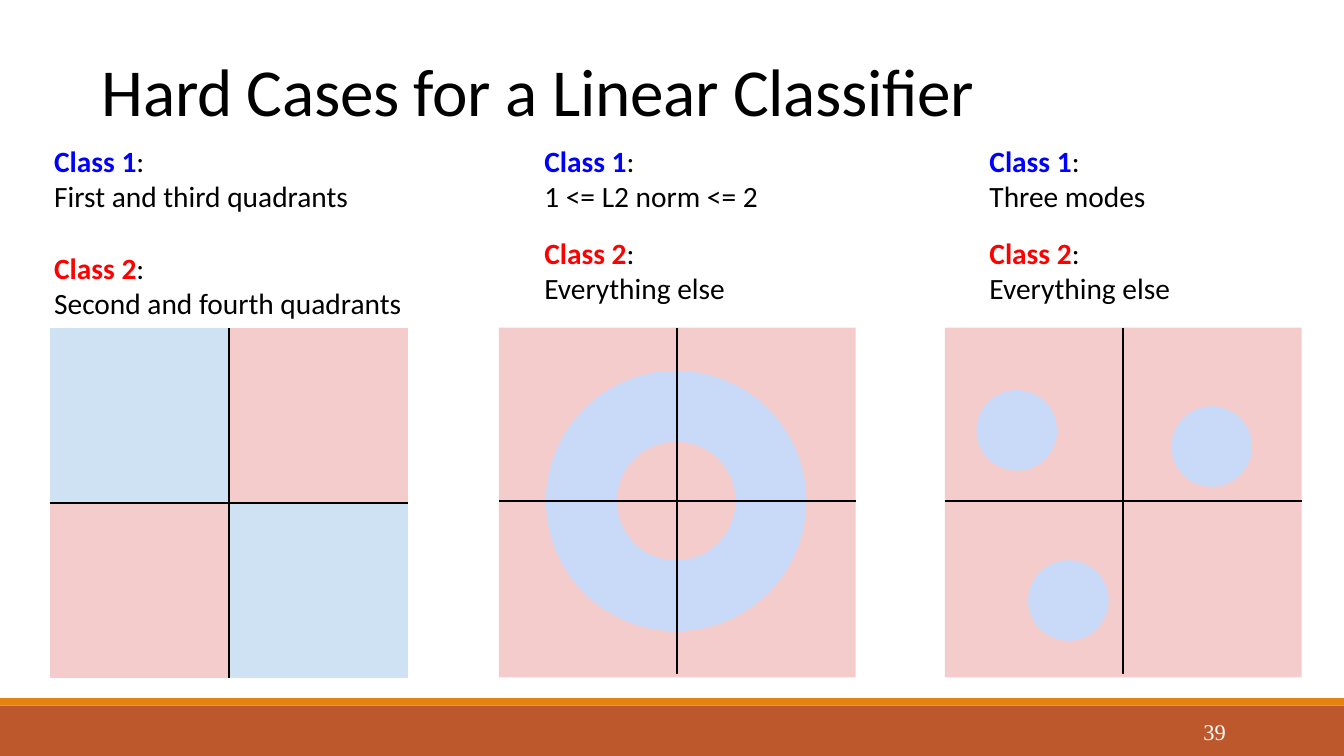
from dataclasses import dataclass

from lxml import etree
from pptx import Presentation
from pptx.dml.color import RGBColor
from pptx.enum.shapes import MSO_CONNECTOR, MSO_SHAPE
from pptx.enum.text import MSO_ANCHOR, MSO_AUTO_SIZE, PP_ALIGN
from pptx.oxml.ns import qn
from pptx.util import Inches, Pt

STRAIGHT = MSO_CONNECTOR.STRAIGHT
RECTANGLE, OVAL = MSO_SHAPE.RECTANGLE, MSO_SHAPE.OVAL
TOP, MIDDLE = MSO_ANCHOR.TOP, MSO_ANCHOR.MIDDLE
LEFT, RIGHT = PP_ALIGN.LEFT, PP_ALIGN.RIGHT
NO_AUTOFIT = MSO_AUTO_SIZE.NONE

SLIDE_WIDTH, SLIDE_HEIGHT = Inches(13.333), Inches(7.5)
COLUMNS, ROWS = 160, 90
PANEL_TOP, PANEL_WIDTH, PANEL_HEIGHT = 39, 42.45, 41.65
AXIS_ROW, AXIS_LENGTH = 20.64, 41.3
NO_GRID_STYLE = "{2D5ABB26-0587-4C30-8999-92F81FD0307C}"


@dataclass(frozen=True)
class Theme:
    ink: str = "000000"
    white: str = "FFFFFF"
    class_1: str = "0000FF"
    class_2: str = "FF0000"
    red_region: str = "F4CCCC"
    blue_region: str = "C9DAF8"
    blue_quadrant: str = "CFE2F3"
    footer: str = "BD582C"
    footer_edge: str = "E48312"
    font: str = "Calibri"
    number_font: str = "Times New Roman"
    title_size: float = 48
    body_size: float = 21
    number_size: float = 16
    axis_width: float = 1.5
    class_gap: float = 15.5


@dataclass(frozen=True)
class ClassRule:
    label: str
    color: str
    rule: str


@dataclass(frozen=True)
class Caption:
    column: float
    row: float
    width: float
    height: float
    rules: tuple[ClassRule, ...]


@dataclass(frozen=True)
class Disc:
    column: float
    row: float
    diameter: float
    color: str


@dataclass(frozen=True)
class Panel:
    column: float
    discs: tuple[Disc, ...]


THEME = Theme()


def class_1(rule: str) -> ClassRule:
    return ClassRule("Class 1", THEME.class_1, rule)


def class_2(rule: str) -> ClassRule:
    return ClassRule("Class 2", THEME.class_2, rule)


def mode(column: float, row: float) -> Disc:
    return Disc(column, row, 9.6, THEME.blue_region)


CAPTIONS = (
    Caption(6.45, 17, 43, 8.2, (class_1("First and third quadrants"),)),
    Caption(6.45, 29.8, 43, 8.2, (class_2("Second and fourth quadrants"),)),
    Caption(64.8, 17, 27, 19.3, (class_1("1 <= L2 norm <= 2"), class_2("Everything else"))),
    Caption(117.8, 17, 23, 19.3, (class_1("Three modes"), class_2("Everything else"))),
)
RING_PANEL = Panel(59.4, (
    Disc(21.1, AXIS_ROW, 31, THEME.blue_region),
    Disc(21.1, AXIS_ROW, 14.1, THEME.red_region),
))
MODES_PANEL = Panel(112.5, (mode(8.55, 12.24), mode(31.75, 14.16), mode(14.7, 32.5)))


def across(columns: float) -> int:
    return round(SLIDE_WIDTH * columns / COLUMNS)


def down(rows: float) -> int:
    return round(SLIDE_HEIGHT * rows / ROWS)


def box(column: float, row: float, width: float, height: float) -> tuple[int, int, int, int]:
    return across(column), down(row), across(width), down(height)


def rgb(color: str) -> RGBColor:
    return RGBColor.from_string(color)


def add_run(paragraph, text: str, size: float, color: str = THEME.ink,
            font: str = THEME.font, bold: bool = False):
    run = paragraph.add_run()
    run.text = text
    run.font.name = font
    run.font.size = Pt(size)
    run.font.bold = bold
    run.font.color.rgb = rgb(color)
    return run


def clear_margins(frame) -> None:
    frame.margin_left = frame.margin_right = frame.margin_top = frame.margin_bottom = 0
    frame.word_wrap = True


def add_region(slide, kind, place: tuple[int, int, int, int], color: str):
    region = slide.shapes.add_shape(kind, *place)
    region.shadow.inherit = False
    region.fill.solid()
    region.fill.fore_color.rgb = rgb(color)
    region.line.fill.background()
    return region


def add_axis(slide, column: float, row: float, width: float, height: float):
    axis = slide.shapes.add_connector(
        STRAIGHT, across(column), down(row), across(column + width), down(row + height))
    axis.line.color.rgb = rgb(THEME.ink)
    axis.line.width = Pt(THEME.axis_width)
    etree.SubElement(axis._element.spPr, qn("a:effectLst"))
    return axis


def add_panel(slide, panel: Panel) -> None:
    plane = add_region(
        slide, RECTANGLE, box(panel.column, PANEL_TOP, PANEL_WIDTH, PANEL_HEIGHT), THEME.red_region)
    for disc in panel.discs:
        radius = disc.diameter / 2
        place = box(panel.column + disc.column - radius, PANEL_TOP + disc.row - radius,
                    disc.diameter, disc.diameter)
        add_region(slide, OVAL, place, disc.color)
    vertical = add_axis(slide, panel.column + PANEL_WIDTH / 2, PANEL_TOP, 0, AXIS_LENGTH)
    vertical.begin_connect(plane, 0)
    add_axis(slide, panel.column, PANEL_TOP + AXIS_ROW, PANEL_WIDTH, 0)


def add_cell_border(cell, side: str) -> None:
    border = etree.SubElement(
        cell._tc.get_or_add_tcPr(), qn(f"a:{side}"), w=str(Pt(THEME.axis_width)))
    fill = etree.SubElement(border, qn("a:solidFill"))
    etree.SubElement(fill, qn("a:srgbClr"), val=THEME.ink)


def add_quadrants(slide) -> None:
    quadrants = slide.shapes.add_table(2, 2, *box(6, PANEL_TOP, 42.6, 41.7)).table
    quadrants.first_row = quadrants.horz_banding = False
    quadrants._tbl.tblPr.find(qn("a:tableStyleId")).text = NO_GRID_STYLE
    for row in range(2):
        for column in range(2):
            quadrant = quadrants.cell(row, column)
            add_cell_border(quadrant, "lnL" if column else "lnR")
            add_cell_border(quadrant, "lnT" if row else "lnB")
            quadrant.fill.solid()
            quadrant.fill.fore_color.rgb = rgb(
                THEME.blue_quadrant if row == column else THEME.red_region)


def add_caption(slide, caption: Caption) -> None:
    place = box(caption.column, caption.row, caption.width, caption.height)
    frame = slide.shapes.add_textbox(*place).text_frame
    clear_margins(frame)
    for index, entry in enumerate(caption.rules):
        heading = frame.add_paragraph() if index else frame.paragraphs[0]
        if index:
            heading.space_before = Pt(THEME.class_gap)
        add_run(heading, entry.label, THEME.body_size, entry.color, bold=True)
        add_run(heading, ":", THEME.body_size)
        add_run(frame.add_paragraph(), entry.rule, THEME.body_size)


def add_title(slide, text: str) -> None:
    title = slide.shapes.title
    title.left, title.top, title.width, title.height = box(7.5, 5.9, 144.7, 9.7)
    frame = title.text_frame
    clear_margins(frame)
    frame.margin_left = across(4.6)
    frame.auto_size = NO_AUTOFIT
    frame.vertical_anchor = TOP
    frame.paragraphs[0].alignment = LEFT
    run = add_run(frame.paragraphs[0], text, THEME.title_size)
    run.font._element.set("spc", "-25")


def add_footer(slide, number: str) -> None:
    add_region(slide, RECTANGLE, box(0, 84, COLUMNS, 6), THEME.footer)
    add_region(slide, RECTANGLE, box(0, 83.1, COLUMNS, 0.9), THEME.footer_edge)
    frame = slide.shapes.add_textbox(*box(130, 84.7, 17.1, 4.8)).text_frame
    frame.word_wrap = True
    frame.vertical_anchor = MIDDLE
    frame.paragraphs[0].alignment = RIGHT
    add_run(frame.paragraphs[0], number, THEME.number_size, THEME.white, THEME.number_font)


def main() -> None:
    deck = Presentation()
    deck.slide_width, deck.slide_height = SLIDE_WIDTH, SLIDE_HEIGHT
    slide = deck.slides.add_slide(deck.slide_layouts[5])
    add_footer(slide, "39")
    add_title(slide, "Hard Cases for a Linear Classifier")
    for panel in (RING_PANEL, MODES_PANEL):
        add_panel(slide, panel)
    for caption in CAPTIONS:
        add_caption(slide, caption)
    add_quadrants(slide)
    deck.save("out.pptx")


if __name__ == "__main__":
    main()
